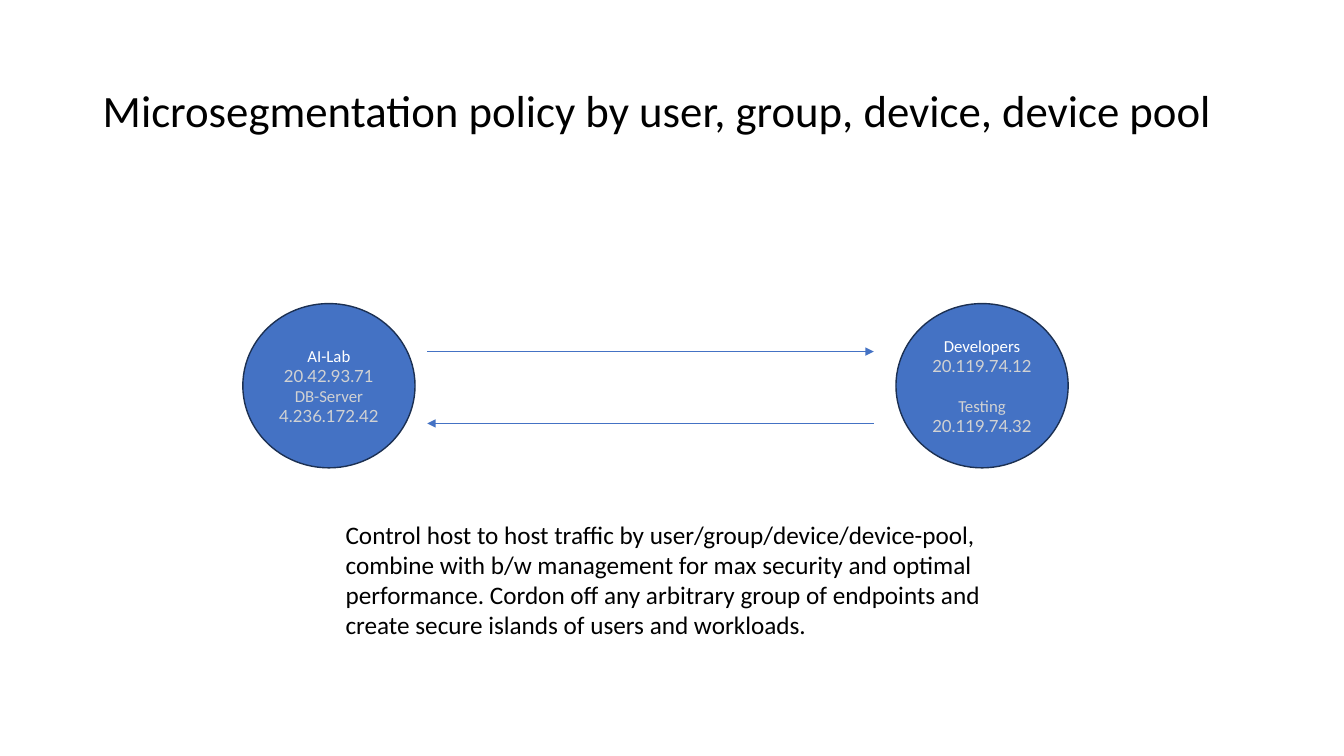
from lxml.etree import SubElement
from pptx import Presentation
from pptx.dml.color import RGBColor
from pptx.enum.shapes import MSO_CONNECTOR as Connector, MSO_SHAPE as Shape
from pptx.enum.text import MSO_ANCHOR as Anchor, PP_ALIGN as Align
from pptx.oxml.ns import qn
from pptx.util import Cm, Pt

BLACK = RGBColor(0x00, 0x00, 0x00)
WHITE = RGBColor(0xFF, 0xFF, 0xFF)
GREY = RGBColor(0xD1, 0xD2, 0xD3)
BLUE = RGBColor(0x44, 0x72, 0xC4)
NAVY = RGBColor(0x1C, 0x30, 0x52)

TITLE = "Microsegmentation policy by user, group, device, device pool"
SUMMARY = (
    "Control host to host traffic by user/group/device/device-pool, "
    "combine with b/w management for max security and optimal performance. "
    "Cordon off any arbitrary group of endpoints and create secure islands "
    "of users and workloads."
)
POOLS = [
    {"left": 6.12, "gap": 0,
     "hosts": [("AI-Lab", "20.42.93.71"), ("DB-Server", "4.236.172.42")]},
    {"left": 22.58, "gap": 14.4,
     "hosts": [("Developers", "20.119.74.12"), ("Testing", "20.119.74.32")]},
]
POOL_TOP, POOL_WIDTH, POOL_HEIGHT = 7.65, 4.34, 4.14
ARROW_LEFT, ARROW_RIGHT = 10.77, 22.02
ARROWS = [
    (ARROW_RIGHT, ARROW_LEFT, 10.67),
    (ARROW_LEFT, ARROW_RIGHT, 8.86),
]


def write(para, text, size, color=BLACK, font="Calibri", **layout):
    for name, value in layout.items():
        setattr(para, name, value)
    span = para.add_run()
    span.text = text
    for name, value in {"name": font, "size": Pt(size)}.items():
        setattr(span.font, name, value)
    span.font.color.rgb = color


def add_text(page, place, text, size, anchor, **layout):
    frame = page.shapes.add_textbox(*map(Cm, place)).text_frame
    frame.word_wrap = True
    frame.vertical_anchor = anchor
    write(frame.paragraphs[0], text, size, **layout)


def add_pool(page, left, gap, hosts):
    place = (left, POOL_TOP, POOL_WIDTH, POOL_HEIGHT)
    pool = page.shapes.add_shape(Shape.OVAL, *map(Cm, place))
    pool.shadow.inherit = False
    pool.fill.solid()
    pool.fill.fore_color.rgb = BLUE
    pool.line.color.rgb = NAVY
    pool.line.width = Pt(1)
    frame = pool.text_frame
    frame.word_wrap = True
    frame.vertical_anchor = Anchor.MIDDLE
    for index, (name, address) in enumerate(hosts):
        if index:
            write(frame.add_paragraph(), name, 12, GREY,
                  alignment=Align.CENTER, space_before=Pt(gap))
        else:
            write(frame.paragraphs[0], name, 12, WHITE, alignment=Align.CENTER)
        write(frame.add_paragraph(), address, 12, GREY, "Lato", alignment=Align.CENTER)


def add_arrow(page, start, end, height):
    ends = map(Cm, (start, height, end, height))
    arrow = page.shapes.add_connector(Connector.STRAIGHT, *ends)
    arrow.line.color.rgb = BLUE
    arrow.line.width = Pt(0.75)
    SubElement(arrow.line._get_or_add_ln(), qn("a:tailEnd"), type="triangle")
    SubElement(arrow._element.spPr, qn("a:effectLst"))


def main():
    deck = Presentation()
    deck.slide_width, deck.slide_height = Cm(33.87), Cm(19.05)
    page = deck.slides.add_slide(deck.slide_layouts[6])
    add_text(page, (2.34, 1.02, 29.21, 3.68), TITLE, 32, Anchor.MIDDLE, line_spacing=0.9)
    add_text(page, (8.46, 12.95, 16.94, 3.33), SUMMARY, 18, Anchor.TOP)
    for pool in POOLS:
        add_pool(page, **pool)
    for arrow in ARROWS:
        add_arrow(page, *arrow)
    deck.save("out.pptx")


if __name__ == "__main__":
    main()
